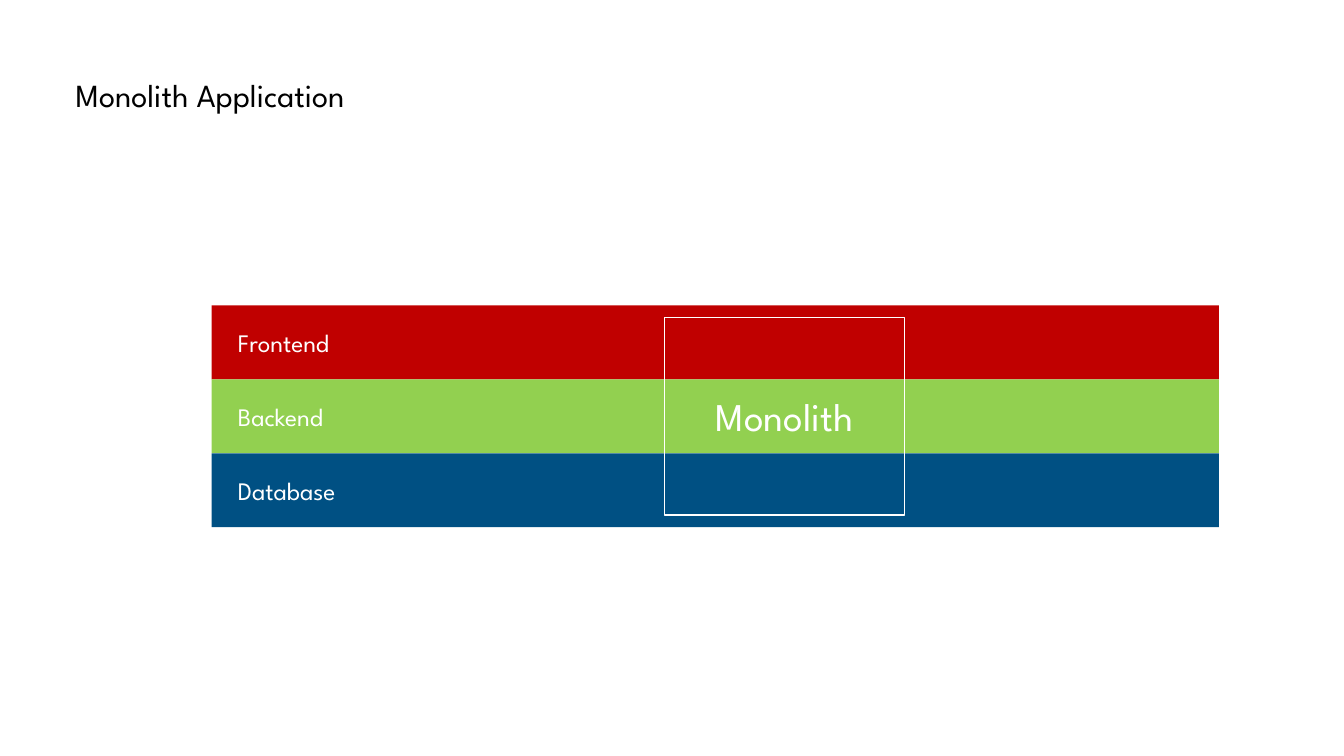
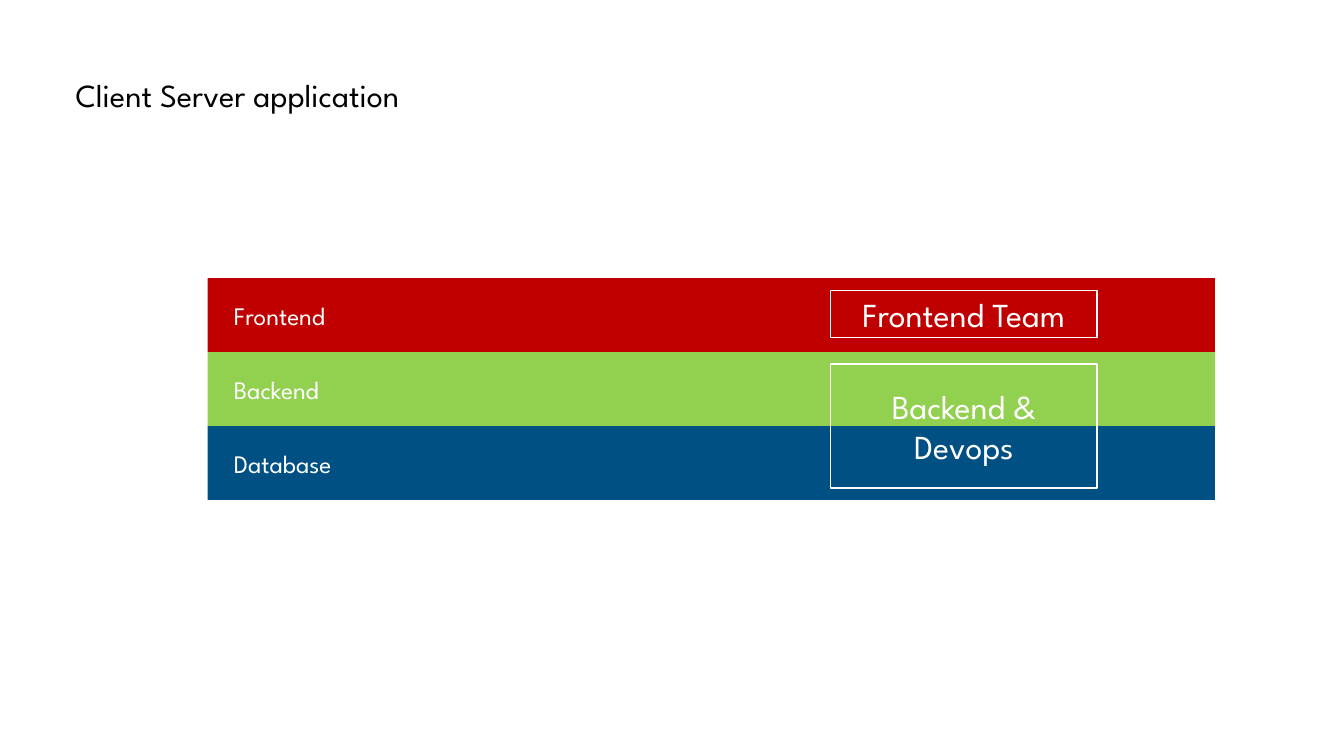
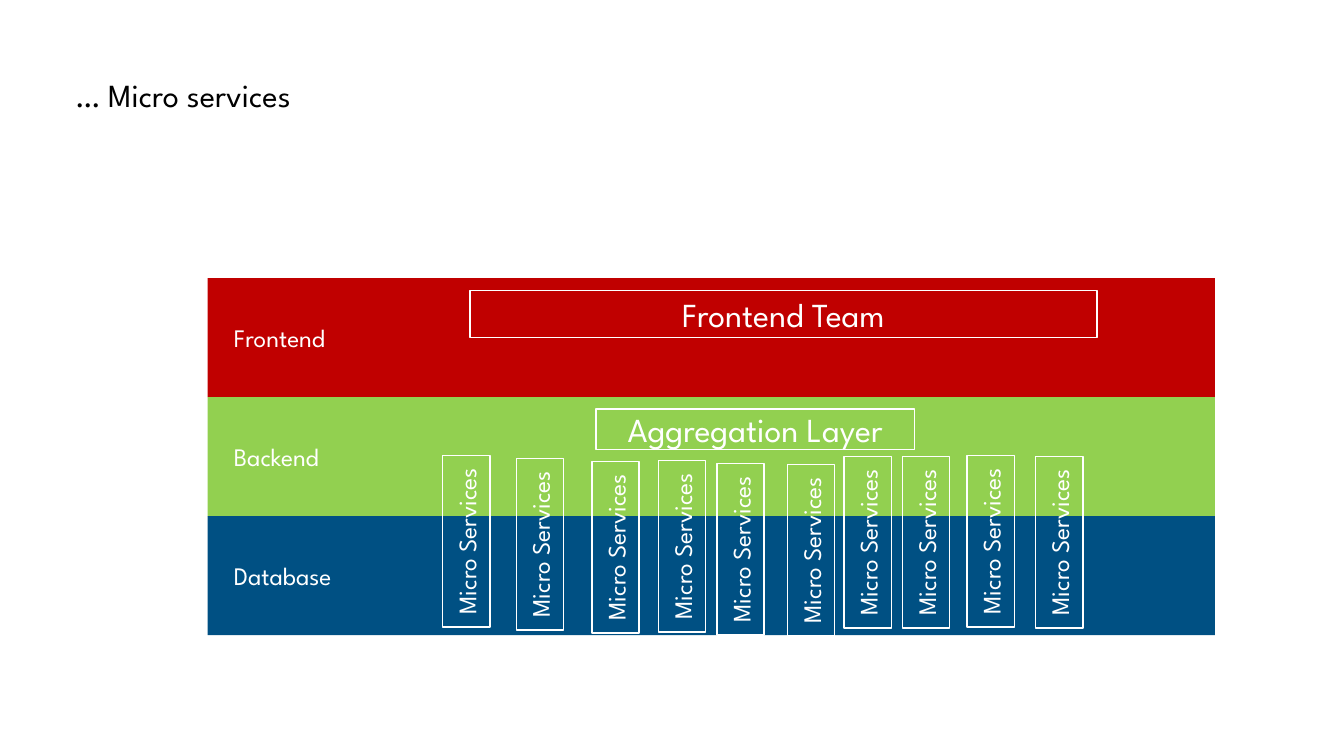
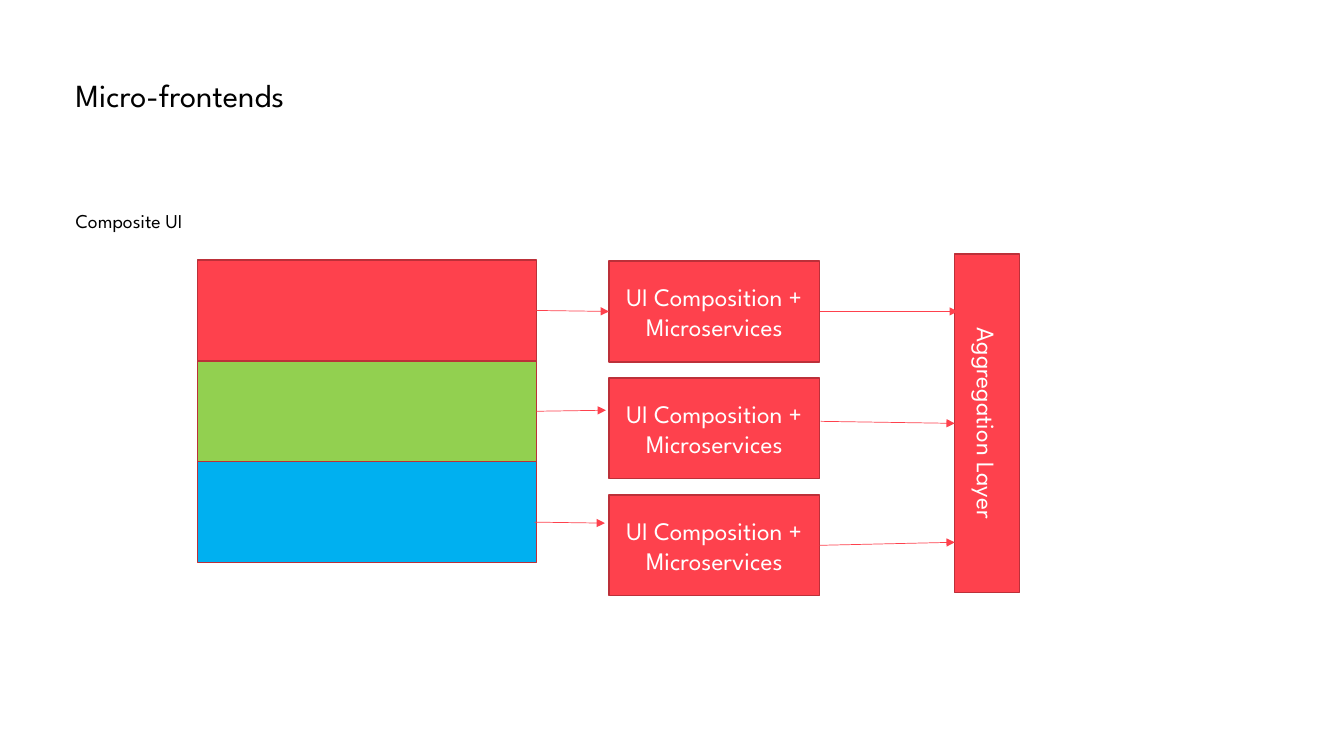
from pptx import Presentation
from pptx.dml.color import RGBColor
from pptx.enum.shapes import MSO_CONNECTOR, MSO_SHAPE
from pptx.enum.text import MSO_ANCHOR, MSO_AUTO_SIZE, PP_ALIGN
from pptx.oxml.ns import qn
from pptx.util import Inches, Pt

RECTANGLE = MSO_SHAPE.RECTANGLE
STRAIGHT = MSO_CONNECTOR.STRAIGHT
LEFT, CENTER = PP_ALIGN.LEFT, PP_ALIGN.CENTER
TOP, MIDDLE = MSO_ANCHOR.TOP, MSO_ANCHOR.MIDDLE
LEFT_SIDE, RIGHT_SIDE = 1, 3
TITLE_AND_CONTENT, TITLE_ONLY = 1, 5

FONT = "League Spartan"
COLORS = {
    "text": "000000",
    "white": "FFFFFF",
    "frontend": "C00000",
    "backend": "92D050",
    "database": "005083",
    "accent": "FE414D",
    "accent_line": "BC3039",
    "sky": "00B0F0",
}
SLIDE_WIDTH, SLIDE_HEIGHT = 13.33, 7.5
MARGIN = 0.75
CONTENT_WIDTH = SLIDE_WIDTH - 2 * MARGIN
LAYERS = ("Frontend", "Backend", "Database")
BAND_WIDTH = 9.99
BOX_PADDING = 0.12
TEAM_HEIGHT = 0.47


def color(name):
    return RGBColor.from_string(COLORS[name])


def format_text(text_frame, size, color_name, alignment):
    for paragraph in text_frame.paragraphs:
        paragraph.alignment = alignment
        for run in paragraph.runs:
            run.font.name = FONT
            run.font.size = Pt(size)
            run.font.color.rgb = color(color_name)


def fill_placeholder(placeholder, text, top, height, size):
    """Move a title or body placeholder to the left margin and set its text."""
    placeholder.left, placeholder.top = Inches(MARGIN), Inches(top)
    placeholder.width, placeholder.height = Inches(CONTENT_WIDTH), Inches(height)
    text_frame = placeholder.text_frame
    text_frame.text = text
    text_frame.auto_size = MSO_AUTO_SIZE.NONE
    text_frame.vertical_anchor = TOP
    text_frame.margin_left = text_frame.margin_right = 0
    text_frame.margin_top = text_frame.margin_bottom = 0
    format_text(text_frame, size, "text", LEFT)


def add_titled_slide(presentation, title, layout=TITLE_ONLY):
    slide = presentation.slides.add_slide(presentation.slide_layouts[layout])
    fill_placeholder(slide.shapes.title, title, MARGIN, 0.7, 23)
    return slide


def add_body(slide, text):
    body = slide.placeholders[1]
    fill_placeholder(body, text, 2, 4.5, 14)
    paragraph = body.text_frame.paragraphs[0]
    paragraph.line_spacing = Pt(22)
    paragraph.space_before = Pt(10)
    properties = paragraph._p.get_or_add_pPr()
    properties.set("marL", "0")
    properties.set("indent", "0")
    properties.append(properties.makeelement(qn("a:buNone"), {}))


def add_box(slide, left, top, width, height, text="", fill=None, line=None,
            size=18, alignment=CENTER, direction=None):
    """Add a rectangle; direction is a DrawingML vertical text mode."""
    box = slide.shapes.add_shape(
        RECTANGLE, Inches(left), Inches(top), Inches(width), Inches(height))
    box.shadow.inherit = False
    if fill:
        box.fill.solid()
        box.fill.fore_color.rgb = color(fill)
    else:
        box.fill.background()
    if line:
        box.line.color.rgb = color(line)
        box.line.width = Pt(1)
    else:
        box.line.fill.background()
    text_frame = box.text_frame
    text_frame.word_wrap = True
    text_frame.vertical_anchor = MIDDLE
    text_frame.text = text
    format_text(text_frame, size, "white", alignment)
    if direction:
        text_frame._txBody.bodyPr.set("vert", direction)
    return box


def add_outline(slide, left, top, width, height, text, size=24, direction=None):
    add_box(slide, left, top, width, height, text, line="white", size=size,
            direction=direction)


def add_layers(slide, left, top, height):
    """Stack the three application layers as equal bands."""
    band_height = height / len(LAYERS)
    for row, layer in enumerate(LAYERS):
        band = add_box(slide, left, top + row * band_height, BAND_WIDTH,
                       band_height, layer, fill=layer.lower(), alignment=LEFT)
        band.text_frame.margin_left = Inches(0.26)


def add_arrow(slide, start, end, source=None, target=None):
    """Draw an arrow, joined to source's right and target's left if given."""
    arrow = slide.shapes.add_connector(
        STRAIGHT, *(Inches(length) for length in (*start, *end)))
    if source:
        arrow.begin_connect(source, RIGHT_SIDE)
    if target:
        arrow.end_connect(target, LEFT_SIDE)
    arrow.line.color.rgb = color("accent")
    arrow.line.width = Pt(0.5)
    line = arrow.line._get_or_add_ln()
    line.append(line.makeelement(qn("a:tailEnd"), {"type": "triangle"}))
    properties = arrow._element.spPr
    properties.append(properties.makeelement(qn("a:effectLst"), {}))


def build_monolith(presentation):
    slide = add_titled_slide(presentation, "Monolith Application")
    top, height = 3.03, 2.2
    add_layers(slide, 2.1, top, height)
    add_outline(slide, 6.59, top + BOX_PADDING, 2.38, height - 2 * BOX_PADDING,
                "Monolith", size=28)


def build_client_server(presentation):
    slide = add_titled_slide(presentation, "Client Server application")
    top, height = 2.76, 2.2
    band_height = height / len(LAYERS)
    add_layers(slide, 2.06, top, height)
    team_left, team_width = 8.24, 2.64
    add_outline(slide, team_left, top + BOX_PADDING, team_width, TEAM_HEIGHT,
                "Frontend Team")
    add_outline(slide, team_left, top + band_height + BOX_PADDING, team_width,
                2 * band_height - 2 * BOX_PADDING, "Backend & Devops")


def build_micro_services(presentation):
    slide = add_titled_slide(presentation, "… Micro services")
    top, height = 2.76, 3.54
    add_layers(slide, 2.06, top, height)
    add_outline(slide, 4.66, top + BOX_PADDING, 6.22, TEAM_HEIGHT, "Frontend Team")
    add_outline(slide, 5.91, top + height / len(LAYERS) + BOX_PADDING, 3.16, 0.4,
                "Aggregation Layer")
    service_corners = (
        (4.39, 4.52), (5.12, 4.55), (5.87, 4.58), (6.53, 4.57), (7.11, 4.6),
        (7.81, 4.61), (8.37, 4.53), (8.95, 4.53), (9.59, 4.52), (10.27, 4.53),
    )
    for service_left, service_top in service_corners:
        add_outline(slide, service_left, service_top, TEAM_HEIGHT, 1.7,
                    "Micro Services", size=18, direction="vert270")


def build_micro_frontends(presentation):
    slide = add_titled_slide(presentation, "Micro-frontends", TITLE_AND_CONTENT)
    add_body(slide, "Composite UI")
    parts = [
        add_box(slide, 1.96, 2.58 + row, 3.36, 1, fill=fill, line="accent_line")
        for row, fill in enumerate(("accent", "backend", "sky"))
    ]
    services = [
        add_box(slide, 6.04, 2.59 + 1.16 * row, 2.09, 1,
                "UI Composition + Microservices", "accent", "accent_line")
        for row in range(len(parts))
    ]
    aggregation = add_box(slide, 9.47, 2.52, 0.64, 3.36, "Aggregation Layer",
                          "accent", "accent_line", direction="vert")
    arrows = (
        ((5.34, 3.08), (6.04, 3.09), parts[0], services[0]),
        ((5.31, 4.05), (6.01, 4.07), parts[1], None),
        ((5.3, 5.18), (6, 5.19), None, None),
        ((8.16, 3.08), (9.5, 3.09), services[0], None),
        ((8.14, 4.18), (9.47, 4.19), None, aggregation),
        ((8.13, 5.37), (9.47, 5.38), services[2], None),
    )
    for arrow in arrows:
        add_arrow(slide, *arrow)


def main():
    presentation = Presentation()
    presentation.slide_width = Inches(SLIDE_WIDTH)
    presentation.slide_height = Inches(SLIDE_HEIGHT)
    build_monolith(presentation)
    build_client_server(presentation)
    build_micro_services(presentation)
    build_micro_frontends(presentation)
    presentation.save("out.pptx")


if __name__ == "__main__":
    main()
